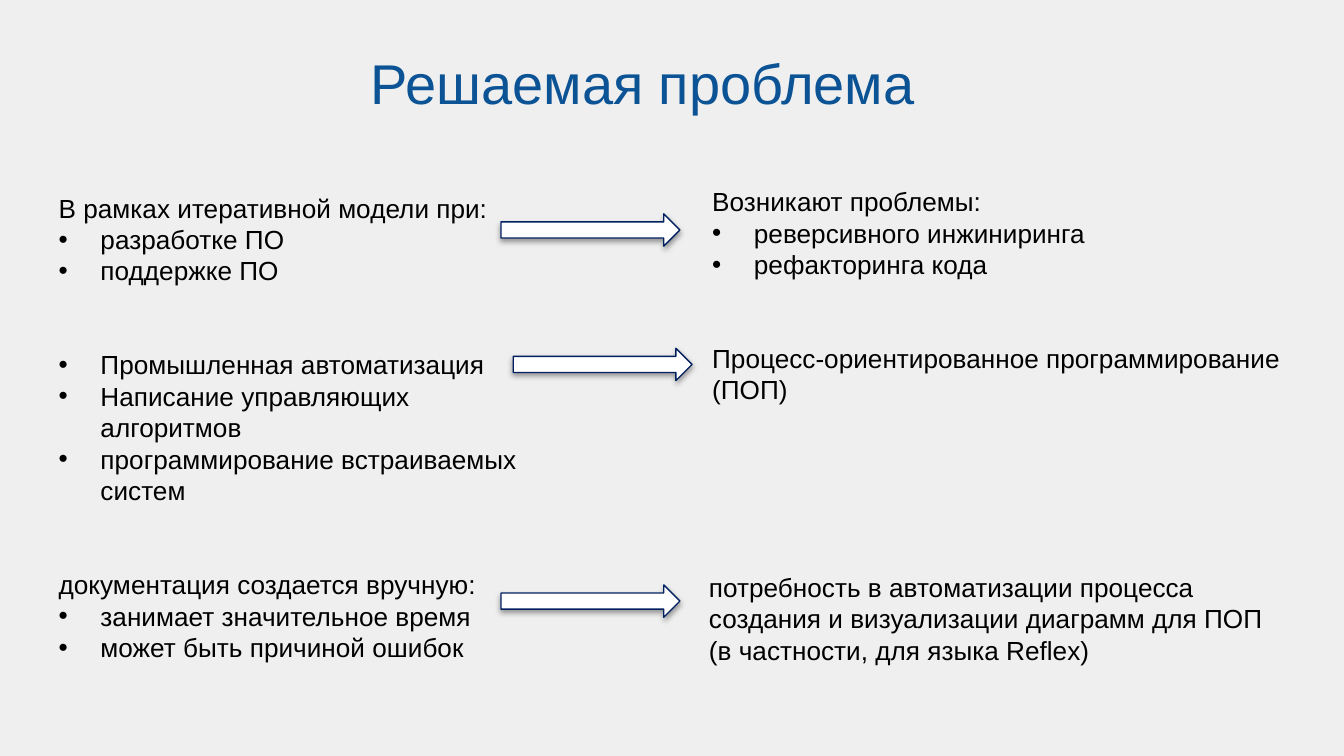
"""Build the slide on the problem being solved: causes, arrows and consequences."""
import lxml.etree
import pptx
import pptx.dml.color
import pptx.enum.shapes
import pptx.enum.text
import pptx.oxml
import pptx.oxml.ns
import pptx.util

Cm = pptx.util.Cm
Pt = pptx.util.Pt
RGB = pptx.dml.color.RGBColor.from_string
qn = pptx.oxml.ns.qn

COLORS = {
    "background": "EFEFEF",
    "title": "0B5394",
    "text": "000000",
    "arrow_fill": "FFFFFF",
    "arrow_line": "002060",
    "shadow": "000000",
}
FONT = "Arial"
LINE_HEIGHT = 16.8
INDENT = Cm(0.79)


def format_paragraph(paragraph, size, color):
    for run in paragraph.runs:
        run.font.name = FONT
        run.font.size = Pt(size)
        run.font.color.rgb = RGB(color)


def add_bullet(paragraph):
    properties = paragraph._p.get_or_add_pPr()
    properties.set("marL", str(INDENT))
    properties.set("indent", str(-INDENT))
    lxml.etree.SubElement(properties, qn("a:buFont"), typeface=FONT)
    lxml.etree.SubElement(properties, qn("a:buChar"), char="•")


presentation = pptx.Presentation()
presentation.slide_width = Cm(25.4)
presentation.slide_height = Cm(14.28)
slide = presentation.slides.add_slide(presentation.slide_layouts[5])
slide.background.fill.solid()
slide.background.fill.fore_color.rgb = RGB(COLORS["background"])

title = slide.shapes.title
title.left, title.top, title.width, title.height = Cm(6.25), Cm(0.36), Cm(11.79), Cm(2.08)
frame = title.text_frame
frame.text = "Решаемая проблема"
frame.auto_size = pptx.enum.text.MSO_AUTO_SIZE.NONE
frame.vertical_anchor = pptx.enum.text.MSO_ANCHOR.BOTTOM
frame.margin_left = frame.margin_right = frame.margin_top = frame.margin_bottom = Cm(0.25)
frame.paragraphs[0].alignment = pptx.enum.text.PP_ALIGN.CENTER
format_paragraph(frame.paragraphs[0], 30, COLORS["title"])

text_blocks = [
    ((0.86, 3.5, 9.45, 9.83), [
        [("В рамках итеративной модели при:", False),
         ("разработке ПО", True),
         ("поддержке ПО", True)],
        [("Промышленная автоматизация", True),
         ("Написание управляющих алгоритмов", True),
         ("программирование встраиваемых систем", True)],
        [("документация создается вручную:", False),
         ("занимает значительное время", True),
         ("может быть причиной ошибок", True)],
    ]),
    ((13.21, 3.38, 11.28, 5.05), [
        [("Возникают проблемы:", False),
         ("реверсивного инжиниринга", True),
         ("рефакторинга кода", True)],
        [("Процесс-ориентированное программирование (ПОП)", False)],
    ]),
    ((13.15, 10.67, 11.4, 2.64), [
        [("потребность в автоматизации процесса создания и визуализации диаграмм "
          "для ПОП (в частности, для языка Reflex)", False)],
    ]),
]
for position, groups in text_blocks:
    frame = slide.shapes.add_textbox(*map(Cm, position)).text_frame
    frame.word_wrap = True
    paragraph = frame.paragraphs[0]
    for group_index, group in enumerate(groups):
        for line_index, (text, bulleted) in enumerate(group):
            if group_index or line_index:
                paragraph = frame.add_paragraph()
            paragraph.text = text
            paragraph.line_spacing = Pt(LINE_HEIGHT)
            if group_index and not line_index:
                paragraph.space_before = Pt(2 * LINE_HEIGHT)
            if bulleted:
                add_bullet(paragraph)
            format_paragraph(paragraph, 14, COLORS["text"])

for left, top in [(9.47, 4.04), (9.7, 6.58), (9.47, 11.05)]:
    arrow = slide.shapes.add_shape(
        pptx.enum.shapes.MSO_SHAPE.RIGHT_ARROW, Cm(left), Cm(top), Cm(3.38), Cm(0.61))
    arrow.fill.solid()
    arrow.fill.fore_color.rgb = RGB(COLORS["arrow_fill"])
    arrow.line.color.rgb = RGB(COLORS["arrow_line"])
    arrow.line.width = Pt(0.75)
    arrow.shadow.inherit = False
    effects = arrow._element.spPr.find(qn("a:effectLst"))
    shadow = lxml.etree.SubElement(
        effects, qn("a:outerShdw"), blurRad=str(Pt(3.1)), dist=str(Pt(1.6)),
        dir="5400000", rotWithShape="0")
    shadow_color = lxml.etree.SubElement(shadow, qn("a:srgbClr"), val=COLORS["shadow"])
    lxml.etree.SubElement(shadow_color, qn("a:alpha"), val="38000")

presentation.save("out.pptx")
